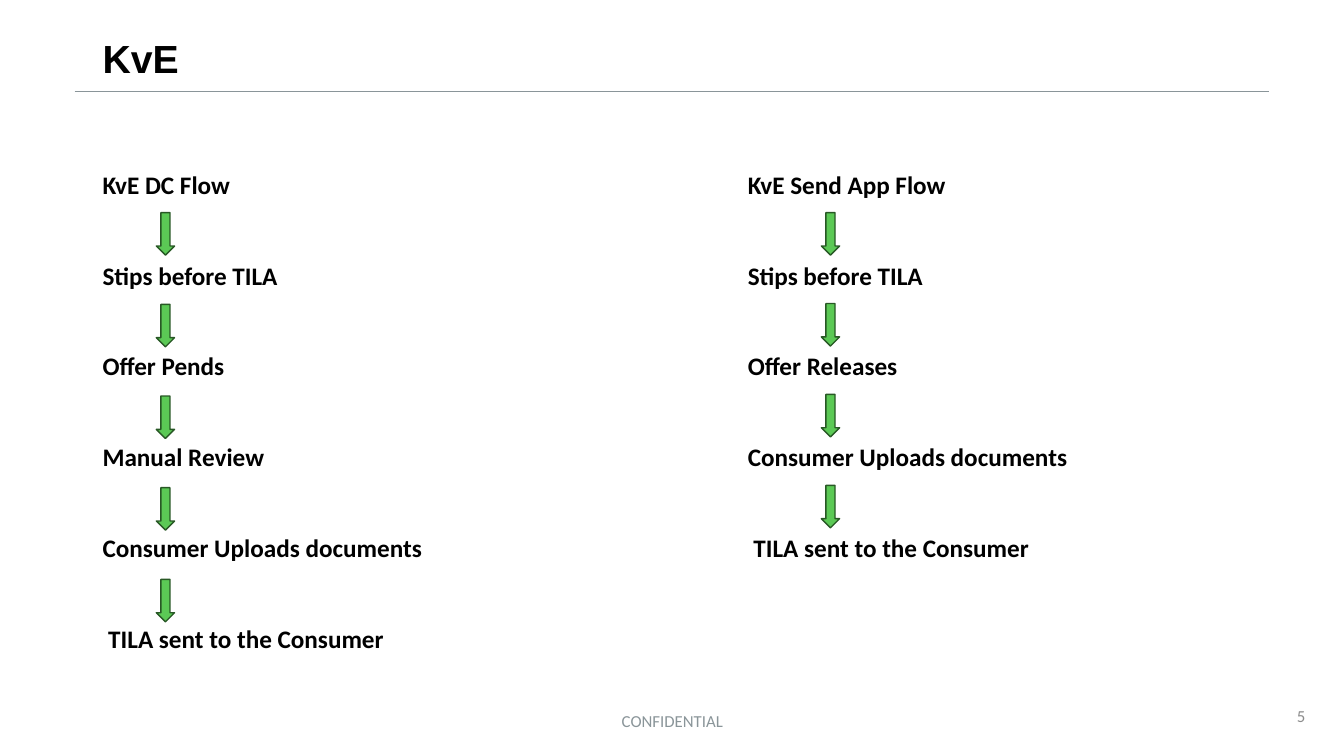
from dataclasses import dataclass

from lxml import etree
from pptx import Presentation
from pptx.dml.color import RGBColor
from pptx.enum.shapes import MSO_CONNECTOR, MSO_SHAPE
from pptx.enum.text import MSO_ANCHOR, MSO_AUTO_SIZE, PP_ALIGN
from pptx.oxml.ns import qn
from pptx.shapes.base import BaseShape
from pptx.slide import Slide
from pptx.util import Cm, Pt

LEFT, CENTER, RIGHT = PP_ALIGN.LEFT, PP_ALIGN.CENTER, PP_ALIGN.RIGHT
TOP, MIDDLE = MSO_ANCHOR.TOP, MSO_ANCHOR.MIDDLE
NO_AUTOFIT = MSO_AUTO_SIZE.NONE
DOWN_ARROW = MSO_SHAPE.DOWN_ARROW
STRAIGHT = MSO_CONNECTOR.STRAIGHT
TWO_CONTENT = 3

TITLE_FONT = {"name": "Arial", "size": Pt(28), "bold": True}
STEP_FONT = {"name": "Calibri", "size": Pt(18), "bold": True}
FOOTER_FONT = {"name": "Calibri", "size": Pt(12), "bold": False}

STEP_GAP = Pt(43.2)
STEPS_TOP, ARROWS_TOP = 4.14, 5.36
ARROW_WIDTH, ARROW_HEIGHT = 0.46, 1.07


@dataclass
class Box:
    left: float
    top: float
    width: float
    height: float


@dataclass
class Flow:
    placeholder: int
    left: float
    height: float
    arrow_left: float
    arrow_pitch: float
    steps: list[str]


@dataclass
class FooterNote:
    text: str
    box: Box
    align: PP_ALIGN
    color: str


FLOWS = [
    Flow(1, 2.33, 13.34, 3.94, 2.31,
         ["KvE DC Flow", "Stips before TILA", "Offer Pends", "Manual Review",
          "Consumer Uploads documents", " TILA sent to the Consumer"]),
    Flow(2, 18.59, 11.02, 20.7, 2.29,
         ["KvE Send App Flow", "Stips before TILA", "Offer Releases",
          "Consumer Uploads documents", " TILA sent to the Consumer"]),
]

FOOTER_NOTES = [
    FooterNote("CONFIDENTIAL", Box(11.23, 17.65, 11.43, 1.02), CENTER, "8A9599"),
    FooterNote("5", Box(25.53, 17.53, 7.62, 1.02), RIGHT, "8C8C8C"),
]


def rgb(value: str) -> RGBColor:
    return RGBColor.from_string(value)


def apply_format(target: object, values: dict) -> None:
    for name, value in values.items():
        setattr(target, name, value)


def place(shape: BaseShape, box: Box) -> None:
    apply_format(shape, {"left": Cm(box.left), "top": Cm(box.top),
                         "width": Cm(box.width), "height": Cm(box.height)})


def write(shape: BaseShape, lines: list[str], font: dict, color: str,
          anchor: MSO_ANCHOR, paragraph_format: dict, gap: Pt = Pt(0)) -> None:
    frame = shape.text_frame
    apply_format(frame, {"word_wrap": True, "auto_size": NO_AUTOFIT,
                         "vertical_anchor": anchor})
    frame.text = "\n".join(lines)
    for index, paragraph in enumerate(frame.paragraphs):
        apply_format(paragraph, paragraph_format)
        paragraph.space_before = gap if index else Pt(0)
        for run in paragraph.runs:
            apply_format(run.font, font)
            run.font.color.rgb = rgb(color)


def draw_title(slide: Slide, text: str) -> None:
    title = slide.shapes.title
    place(title, Box(2.33, 0.51, 29.21, 2.03))
    write(title, [text], TITLE_FONT, "000000", MIDDLE,
          {"alignment": LEFT, "line_spacing": 0.9})


def draw_rule(slide: Slide) -> None:
    rule = slide.shapes.add_connector(
        STRAIGHT, Cm(1.88), Cm(2.31), Cm(31.98), Cm(2.31))
    rule.line.color.rgb = rgb("8A9599")
    rule.line.width = Pt(0.5)
    etree.SubElement(rule.element.spPr, qn("a:effectLst"))


def draw_arrow(slide: Slide, left: float, top: float) -> None:
    arrow = slide.shapes.add_shape(
        DOWN_ARROW, Cm(left), Cm(top), Cm(ARROW_WIDTH), Cm(ARROW_HEIGHT))
    arrow.shadow.inherit = False
    arrow.fill.solid()
    arrow.fill.fore_color.rgb = rgb("5BC955")
    arrow.line.color.rgb = rgb("285825")
    arrow.line.width = Pt(1)


def draw_flow(slide: Slide, flow: Flow) -> None:
    steps = slide.placeholders[flow.placeholder]
    place(steps, Box(flow.left, STEPS_TOP, 8.64, flow.height))
    write(steps, flow.steps, STEP_FONT, "000000", TOP,
          {"alignment": LEFT, "line_spacing": 1.0}, STEP_GAP)
    for paragraph in steps.text_frame.paragraphs:
        properties = paragraph._p.get_or_add_pPr()
        properties.set("marL", "0")
        properties.set("indent", "0")
        etree.SubElement(properties, qn("a:buNone"))
    for index in range(len(flow.steps) - 1):
        draw_arrow(slide, flow.arrow_left, ARROWS_TOP + index * flow.arrow_pitch)


def draw_footer_note(slide: Slide, note: FooterNote) -> None:
    box = note.box
    footer = slide.shapes.add_textbox(
        Cm(box.left), Cm(box.top), Cm(box.width), Cm(box.height))
    write(footer, [note.text], FOOTER_FONT, note.color, MIDDLE,
          {"alignment": note.align})


def main() -> None:
    deck = Presentation()
    deck.slide_width, deck.slide_height = Cm(33.87), Cm(19.05)
    slide = deck.slides.add_slide(deck.slide_layouts[TWO_CONTENT])
    draw_rule(slide)
    draw_title(slide, "KvE")
    for flow in FLOWS:
        draw_flow(slide, flow)
    for note in FOOTER_NOTES:
        draw_footer_note(slide, note)
    deck.save("out.pptx")


if __name__ == "__main__":
    main()
